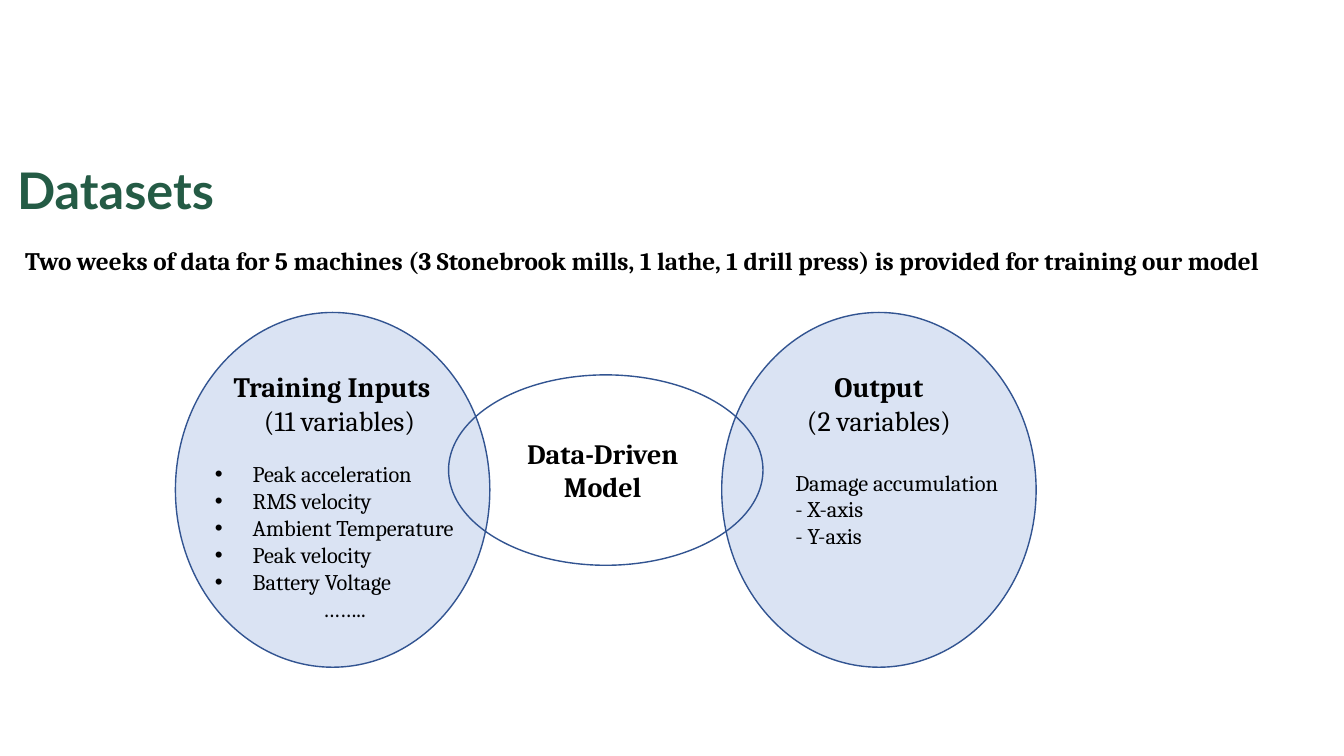
"""Build the Datasets slide: training inputs, data-driven model and output."""
from dataclasses import dataclass

from lxml.etree import SubElement
from pptx import Presentation
from pptx.dml.color import RGBColor
from pptx.enum.shapes import MSO_SHAPE as Shape
from pptx.enum.text import MSO_ANCHOR as Anchor, MSO_AUTO_SIZE as AutoSize, PP_ALIGN as Align
from pptx.oxml.ns import qn
from pptx.util import Pt


@dataclass(frozen=True)
class Theme:
    """Colours, fonts and type sizes of the slide."""
    green: RGBColor = RGBColor.from_string("245B45")
    ink: RGBColor = RGBColor.from_string("000000")
    pale: RGBColor = RGBColor.from_string("DAE3F3")
    outline: RGBColor = RGBColor.from_string("325491")
    title_font: str = "Lato"
    body_font: str = "Cambria"
    title: int = 36
    lead: int = 18
    heading: int = 20
    item: int = 16


THEME = Theme()


@dataclass(frozen=True)
class Box:
    """A rectangle in points."""
    left: float
    top: float
    width: float
    height: float

    def inner(self, dx, dy, width, height):
        """Return a box placed relative to this one."""
        return Box(self.left + dx, self.top + dy, width, height)

    def lengths(self):
        """Return left, top, width and height as lengths."""
        return [Pt(v) for v in (self.left, self.top, self.width, self.height)]


def place(holder, box):
    """Move a placeholder into a box."""
    holder.left, holder.top, holder.width, holder.height = box.lengths()


def style(paragraph, size, bold=False, align=Align.LEFT, font=THEME.body_font, color=THEME.ink):
    """Format a paragraph and its runs."""
    paragraph.alignment = align
    paragraph.space_before = Pt(0)
    for run in paragraph.runs:
        run.font.name = font
        run.font.size = Pt(size)
        run.font.bold = bold
        run.font.color.rgb = color


def add_text(slide, box, text):
    """Add a wrapping text box and return its paragraphs."""
    frame = slide.shapes.add_textbox(*box.lengths()).text_frame
    frame.word_wrap = True
    frame.text = text
    return frame.paragraphs


def add_ellipse(slide, box, fill=None):
    """Add an outlined ellipse, filled if a colour is given."""
    ellipse = slide.shapes.add_shape(Shape.OVAL, *box.lengths())
    ellipse.shadow.inherit = False
    ellipse.line.color.rgb = THEME.outline
    ellipse.line.width = Pt(1)
    if fill is None:
        ellipse.fill.background()
    else:
        ellipse.fill.solid()
        ellipse.fill.fore_color.rgb = fill


def set_bullet(paragraph, indent, bullet=None):
    """Give a paragraph a hanging bullet, or none."""
    props = paragraph._p.get_or_add_pPr()
    props.set("marL", str(Pt(indent)))
    props.set("indent", str(-Pt(indent)))
    if bullet:
        SubElement(props, qn("a:buFont"), typeface="Arial")
        SubElement(props, qn("a:buChar"), char=bullet)
    else:
        SubElement(props, qn("a:buNone"))


def add_header(slide, box):
    """Place the title and the lead sentence below it."""
    title = slide.shapes.title
    place(title, box.inner(0, 0, 828, 66))
    title.text_frame.text = "Datasets"
    title.text_frame.vertical_anchor = Anchor.MIDDLE
    title.text_frame.auto_size = AutoSize.NONE
    heading = title.text_frame.paragraphs[0]
    style(heading, THEME.title, True, font=THEME.title_font, color=THEME.green)
    heading.line_spacing = 0.9
    lead = add_text(
        slide, box.inner(5.8, 67, 915, 29),
        "Two weeks of data for 5 machines (3 Stonebrook mills, 1 lathe, 1 drill press) "
        "is provided for training our model")
    style(lead[0], THEME.lead, True)


def add_heading(slide, box, name, count, align=Align.CENTER):
    """Add a bold region name above its centred variable count."""
    name_line, count_line = add_text(slide, box, f"{name}\n{count}")
    style(name_line, THEME.heading, True, align)
    style(count_line, THEME.heading, align=Align.CENTER)


def add_inputs(slide, box):
    """Draw the training inputs ellipse with its bulleted list."""
    add_ellipse(slide, box, THEME.pale)
    add_heading(slide, box.inner(34.5, 37.5, 165.6, 55.4),
                "Training Inputs", "(11 variables)", Align.LEFT)
    variables = slide.placeholders[1]
    slide.shapes._spTree.append(variables.element)
    place(variables, box.inner(21, 102.2, 199.4, 124))
    frame = variables.text_frame
    frame.auto_size = AutoSize.NONE
    frame.text = ("Peak acceleration\nRMS velocity\nAmbient Temperature\n"
                  "Peak velocity\nBattery Voltage\n……..")
    *items, ellipsis = frame.paragraphs
    for item in items:
        style(item, THEME.item)
        set_bullet(item, 27, "•")
    style(ellipsis, THEME.item, align=Align.CENTER)
    set_bullet(ellipsis, 0)


def add_output(slide, box):
    """Draw the output ellipse with its damage axes."""
    add_ellipse(slide, box, THEME.pale)
    add_heading(slide, box.inner(42.5, 37.5, 139.7, 55.4), "Output", "(2 variables)")
    for line in add_text(slide, box.inner(45.5, 108, 211, 65.5),
                         "Damage accumulation\n- X-axis\n- Y-axis"):
        style(line, THEME.item)


def add_model(slide, box):
    """Draw the open model ellipse that links inputs and output."""
    add_ellipse(slide, box)
    label = add_text(slide, box.inner(40.3, 40.3, 139.7, 55.4), "Data-Driven Model")
    style(label[0], THEME.heading, True, Align.CENTER)


def main():
    """Build and save the slide."""
    deck = Presentation()
    deck.slide_width, deck.slide_height = Pt(960), Pt(540)
    slide = deck.slides.add_slide(deck.slide_layouts[1])
    add_header(slide, Box(5, 105, 920, 96))
    inputs = Box(125.3, 223.2, 224.6, 253.4)
    add_inputs(slide, inputs)
    add_output(slide, inputs.inner(390.2, 0, inputs.width, inputs.height))
    add_model(slide, inputs.inner(195.1, 44.6, inputs.width, 136))
    deck.save("out.pptx")


if __name__ == "__main__":
    main()
